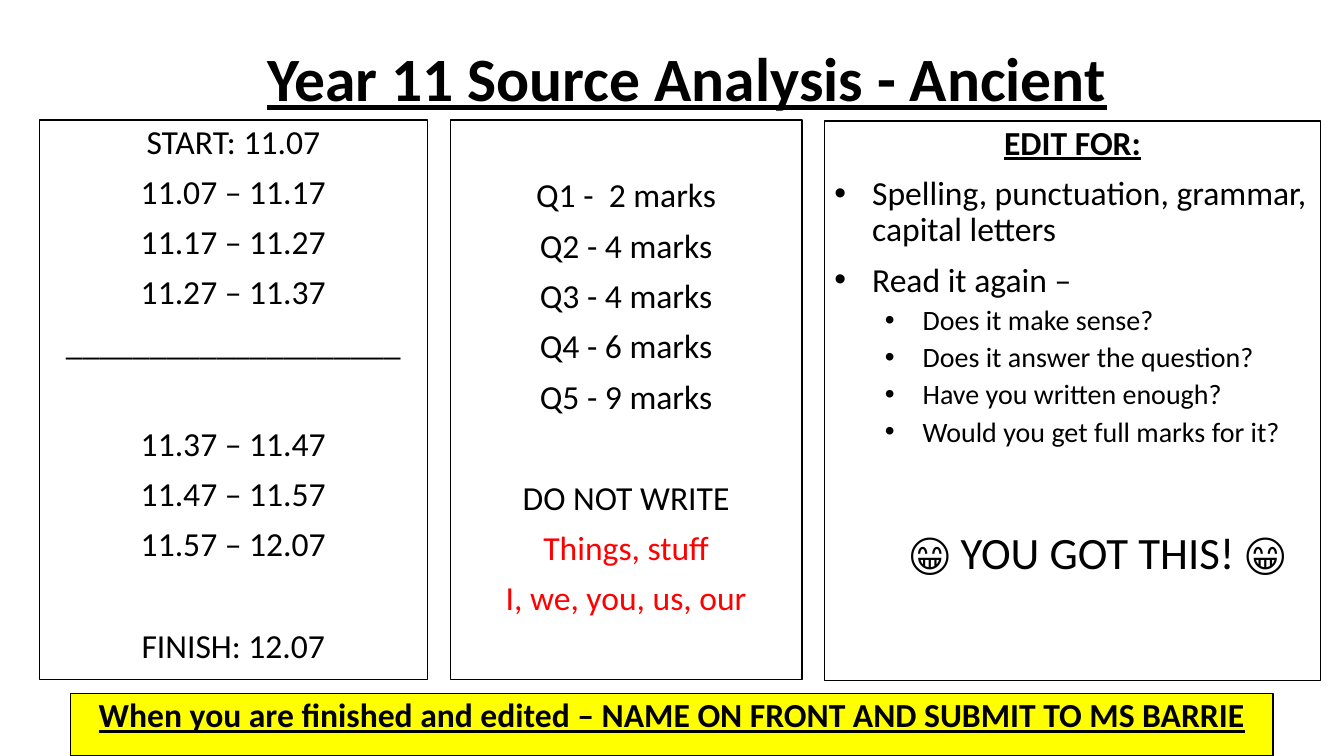
from dataclasses import dataclass

from lxml import etree
from pptx import Presentation
from pptx import util as u
from pptx.dml.color import RGBColor
from pptx.enum import shapes, text
from pptx.oxml.ns import qn

FONT = "Calibri"
BLACK, WHITE, RED, YELLOW = "000000", "FFFFFF", "FF0000", "FFFF00"
GAP = 46.4  # space before a line that opens a new group, in points


@dataclass
class Line:
    words: str
    size: int = 24
    color: str = BLACK
    strong: bool = False
    before: float = 10
    level: int = 0
    margin: float = 0
    bullet: bool = False


@dataclass
class Panel:
    left: float
    top: float
    width: float
    height: float
    lines: list[Line]
    fill: str = WHITE
    inset: float = 0.13


def rgb(value: str) -> RGBColor:
    return RGBColor.from_string(value)


def place(sp, left: float, top: float, width: float, height: float) -> None:
    box = {"left": left, "top": top, "width": width, "height": height}
    for name, value in box.items():
        setattr(sp, name, u.Cm(value))


def write_line(p, line: Line, first: bool) -> None:
    pPr = p._p.get_or_add_pPr()
    hanging = u.Cm(0.95) if line.bullet else 0
    pPr.set("marL", str(u.Cm(line.margin)))
    pPr.set("indent", str(-hanging))
    if line.bullet:
        etree.SubElement(pPr, qn("a:buFont")).set("typeface", "Arial")
        etree.SubElement(pPr, qn("a:buChar")).set("char", "•")
    else:
        etree.SubElement(pPr, qn("a:buNone"))
    layout = {
        "level": line.level,
        "alignment": text.PP_ALIGN.LEFT if line.bullet else text.PP_ALIGN.CENTER,
        "line_spacing": 0.9,
        "space_before": u.Pt(0 if first else line.before),
        "space_after": u.Pt(0),
    }
    for name, value in layout.items():
        setattr(p, name, value)
    r = p.add_run()
    r.text = line.words
    style = {"name": FONT, "size": u.Pt(line.size),
             "bold": line.strong, "underline": line.strong}
    for name, value in style.items():
        setattr(r.font, name, value)
    r.font.color.rgb = rgb(line.color)


def write(sp, lines: list[Line], anchor, inset: float = 0.13) -> None:
    tf = sp.text_frame
    frame = {
        "word_wrap": True, "auto_size": text.MSO_AUTO_SIZE.NONE,
        "vertical_anchor": anchor,
        "margin_left": u.Cm(0.25), "margin_right": u.Cm(0.25),
        "margin_top": u.Cm(inset), "margin_bottom": u.Cm(0.13),
    }
    for name, value in frame.items():
        setattr(tf, name, value)
    for i, line in enumerate(lines):
        p = tf.add_paragraph() if i else tf.paragraphs[0]
        write_line(p, line, first=i == 0)


def draw_panel(sp, panel: Panel) -> None:
    place(sp, panel.left, panel.top, panel.width, panel.height)
    sp.shadow.inherit = False
    sp.fill.solid()
    sp.fill.fore_color.rgb = rgb(panel.fill)
    sp.line.color.rgb = rgb(BLACK)
    sp.line.width = u.Pt(1)
    write(sp, panel.lines, text.MSO_ANCHOR.TOP, panel.inset)


def point(words: str) -> Line:
    return Line(words, margin=0.95, bullet=True)


def check(words: str) -> Line:
    return Line(words, size=20, before=5, level=1, margin=2.22, bullet=True)


# Content
schedule = Panel(0.99, 3.02, 9.78, 14.1, [
    Line("START: 11.07"),
    Line("11.07 – 11.17"),
    Line("11.17 – 11.27"),
    Line("11.27 – 11.37"),
    Line("____________________"),
    Line("11.37 – 11.47", before=GAP),
    Line("11.47 – 11.57"),
    Line("11.57 – 12.07"),
    Line("FINISH: 12.07", before=GAP),
])
marks = Panel(11.35, 3.02, 8.86, 14.1, [
    Line("Q1 -  2 marks"),
    Line("Q2 - 4 marks"),
    Line("Q3 - 4 marks"),
    Line("Q4 - 6 marks"),
    Line("Q5 - 9 marks"),
    Line("DO NOT WRITE", before=GAP),
    Line("Things, stuff", color=RED),
    Line("I, we, you, us, our", color=RED),
], inset=1.49)
editing = Panel(20.78, 3.05, 12.5, 14.1, [
    Line("EDIT FOR:", strong=True),
    point("Spelling, punctuation, grammar, capital letters"),
    point("Read it again –"),
    check("Does it make sense?"),
    check("Does it answer the question?"),
    check("Have you written enough?"),
    check("Would you get full marks for it?"),
    Line("😁 YOU GOT THIS! 😁", size=32, before=59, level=1, margin=1.27),
])
submit = Panel(1.78, 17.48, 30.3, 1.57, [
    Line("When you are finished and edited – NAME ON FRONT AND SUBMIT TO MS BARRIE",
         strong=True),
], fill=YELLOW)


def main() -> None:
    prs = Presentation()
    prs.slide_width, prs.slide_height = u.Cm(33.87), u.Cm(19.05)
    s = prs.slides.add_slide(prs.slide_layouts[0])

    # Title
    place(s.shapes.title, 4.62, 0.56, 25.4, 2.46)
    write(s.shapes.title,
          [Line("Year 11 Source Analysis - Ancient", size=44, strong=True)],
          text.MSO_ANCHOR.BOTTOM)

    # Timetable in the body placeholder, then the other panels
    draw_panel(s.placeholders[1], schedule)
    for panel in (marks, editing, submit):
        sp = s.shapes.add_shape(shapes.MSO_SHAPE.RECTANGLE, 0, 0, 0, 0)
        draw_panel(sp, panel)

    prs.save("out.pptx")


if __name__ == "__main__":
    main()
